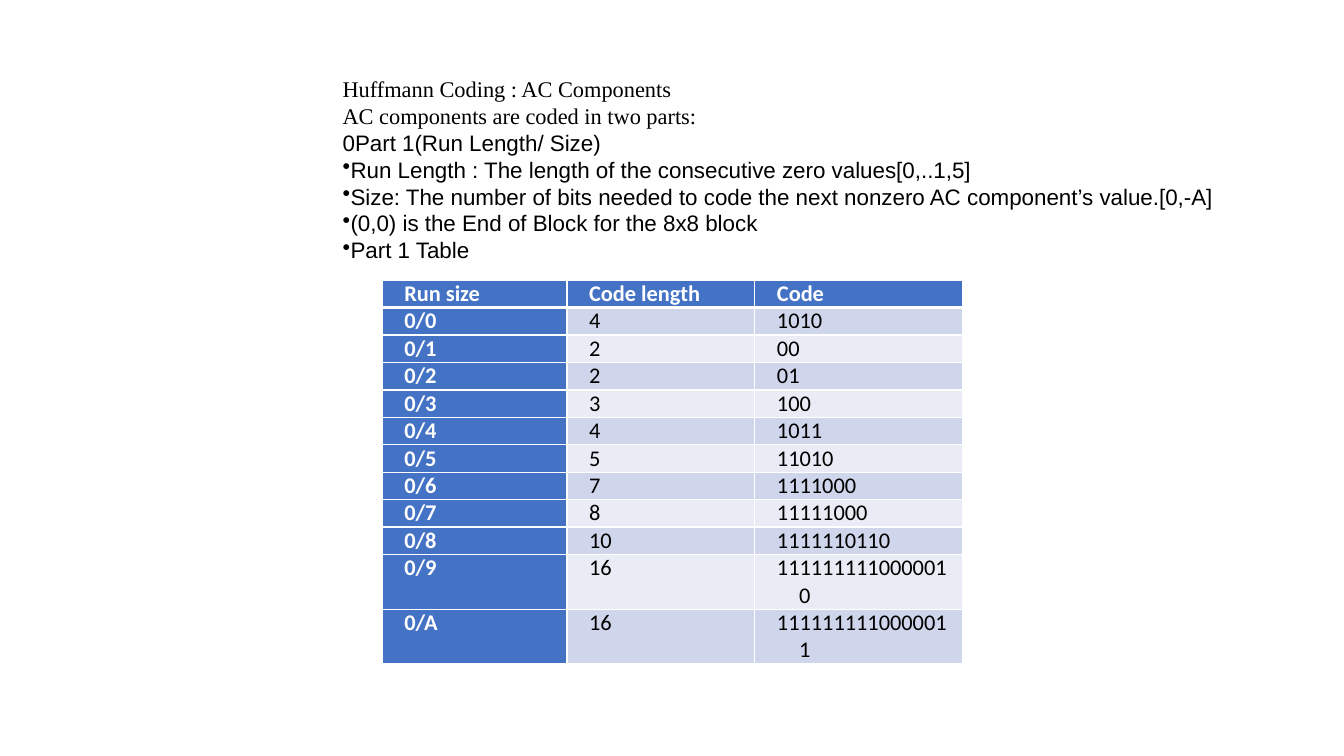
"""Build a slide on Huffman coding of AC components with its code table."""
import pptx
import pptx.dml.color
import pptx.enum.text
import pptx.oxml
import pptx.oxml.ns
import pptx.util
from pptx.util import Inches

COLORS = {"header": "4472C4", "dark_band": "CFD5EA", "light_band": "E9EBF5",
          "white": "FFFFFF", "black": "000000"}

LINES = [
    ("Huffmann Coding : AC Components", "Times New Roman", False),
    ("AC components are coded in two parts:", "Times New Roman", False),
    ("0Part 1(Run Length/ Size)", "Arial", False),
    ("Run Length : The length of the consecutive zero values[0,..1,5]", "Arial", True),
    ("Size: The number of bits needed to code the next nonzero AC component’s value.[0,-A]",
     "Arial", True),
    ("(0,0) is the End of Block for the 8x8 block", "Arial", True),
    ("Part 1 Table", "Arial", True),
]

CODES = ["1010", "00", "01", "100", "1011", "11010", "1111000", "11111000",
         "1111110110", "1111111110000010", "1111111110000011"]
ROWS = [("Run size", "Code length", "Code")] + [
    (f"0/{size:X}", str(len(code)), code) for size, code in enumerate(CODES)]


def rgb(name):
    return pptx.dml.color.RGBColor.from_string(COLORS[name])


def add_run(p, text, font, color, bold=False):
    r = p.add_run()
    r.text = text
    r.font.name = font
    r.font.size = pptx.util.Pt(16)
    r.font.bold = bold
    r.font.color.rgb = rgb(color)


def set_borders(cell, widths):
    tc_pr = cell._tc.get_or_add_tcPr()
    for i, (side, width) in enumerate(widths.items()):
        ln = pptx.oxml.parse_xml(
            f'<a:ln{side} {pptx.oxml.ns.nsdecls("a")} w="{pptx.util.Pt(width)}">'
            f'<a:solidFill><a:srgbClr val="{COLORS["white"]}"/></a:solidFill></a:ln{side}>')
        tc_pr.insert(i, ln)


def add_intro(s, left, top, width, height):
    tf = s.shapes.add_textbox(left, top, width, height).text_frame
    tf.word_wrap = False
    tf.auto_size = pptx.enum.text.MSO_AUTO_SIZE.SHAPE_TO_FIT_TEXT
    tf.vertical_anchor = pptx.enum.text.MSO_ANCHOR.MIDDLE
    for i, (text, font, bullet) in enumerate(LINES):
        p = tf.add_paragraph() if i else tf.paragraphs[0]
        if bullet:
            p._p.get_or_add_pPr().append(pptx.oxml.parse_xml(
                f'<a:buChar {pptx.oxml.ns.nsdecls("a")} char="•"/>'))
        add_run(p, text, font, "black")


def fill_cell(cell, text, row, col):
    heading = row == 0 or col == 0
    band = "header" if heading else "dark_band" if row % 2 else "light_band"
    cell.fill.solid()
    cell.fill.fore_color.rgb = rgb(band)
    cell.margin_left = cell.margin_right = Inches(0.07)
    cell.margin_top = cell.margin_bottom = 0
    p = cell.text_frame.paragraphs[0]
    p.alignment = pptx.enum.text.PP_ALIGN.JUSTIFY
    p_pr = p._p.get_or_add_pPr()
    p_pr.set("marL", str(Inches(0.37)))
    p_pr.set("indent", str(Inches(-0.22)))
    add_run(p, text, "Calibri", "white" if heading else "black", heading)
    set_borders(cell, {"L": 1, "R": 1, "T": 3 if row == 1 else 1,
                       "B": 3 if row == 0 else 1})


def add_code_table(s, left, top, width, height):
    table = s.shapes.add_table(len(ROWS), 3, left, top, width, height).table
    for column, share in zip(table.columns, (1.83, 1.86, 2.06)):
        column.width = int(width * share / 5.75)
    lines = [2 if len(row[2]) > 15 else 1 for row in ROWS]
    for i, row in enumerate(ROWS):
        table.rows[i].height = int(height * lines[i] / sum(lines))
        for j, text in enumerate(row):
            fill_cell(table.cell(i, j), text, i, j)


prs = pptx.Presentation()
prs.slide_width, prs.slide_height = Inches(13.33), Inches(7.5)
s = prs.slides.add_slide(prs.slide_layouts[6])
add_code_table(s, Inches(3.79), Inches(2.78), Inches(5.76), Inches(3.8))
add_intro(s, Inches(3.3), Inches(1.43), Inches(13.33), Inches(0.5))
prs.save("out.pptx")
